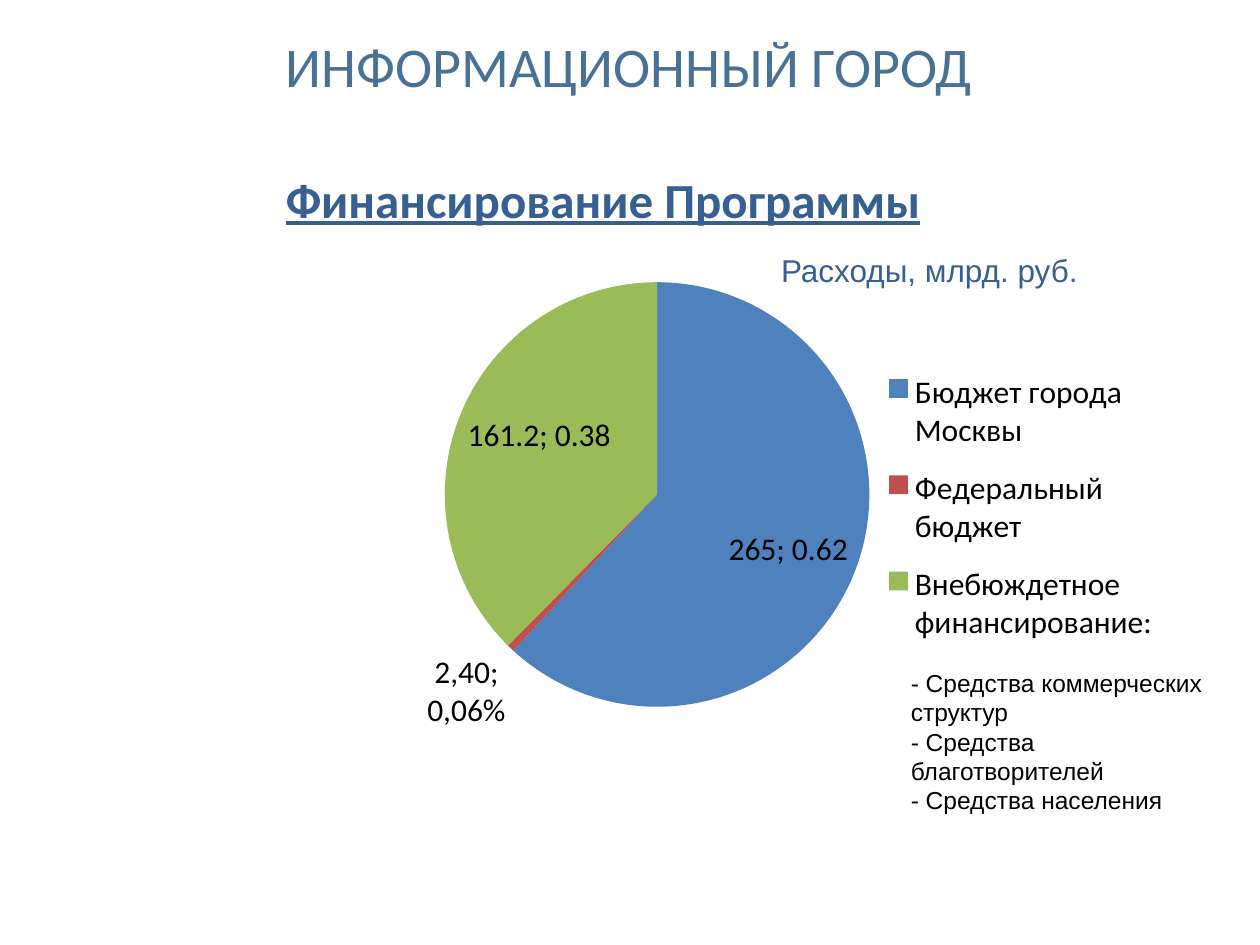
from lxml import etree
from pptx import Presentation
from pptx.chart.data import CategoryChartData
from pptx.dml.color import RGBColor
from pptx.enum.chart import XL_CHART_TYPE, XL_LABEL_POSITION, XL_LEGEND_POSITION
from pptx.enum.text import MSO_ANCHOR, MSO_AUTO_SIZE
from pptx.oxml.ns import qn
from pptx.util import Inches, Pt

PIE = XL_CHART_TYPE.PIE
RIGHT = XL_LEGEND_POSITION.RIGHT
INSIDE, OUTSIDE = XL_LABEL_POSITION.INSIDE_END, XL_LABEL_POSITION.OUTSIDE_END
TOP, MIDDLE = MSO_ANCHOR.TOP, MSO_ANCHOR.MIDDLE
GROW, FIXED = MSO_AUTO_SIZE.SHAPE_TO_FIT_TEXT, MSO_AUTO_SIZE.NONE

# Content
COLORS = {"title": "487196", "navy": "376092", "black": "000000",
          "city": "4F81BD", "federal": "C0504D", "other": "9BBB59"}
BUDGET = [("Бюджет города Москвы", 265, "city"),
          ("Федеральный бюджет", 2.4, "federal"),
          ("Внебюждетное финансирование:", 161.2, "other")]
SMALL = (1, "2,40; 0,06%")
CHART = (2.64, 1.62, 6.84, 4.95)
PLOT = (3.53, 2.24, 3.37, 3.37)
LEGEND = (6.9, 2.8, 2.4, 2.45)

# Box, lines, font, frame
TEXTS = [
    ((2.17, 1.15, 6.84, 0.85), ["Финансирование Программы"],
     {"name": "Calibri", "size": Pt(28), "bold": True, "underline": True}, "navy",
     {"vertical_anchor": MIDDLE, "word_wrap": True, "auto_size": FIXED}),
    ((6.1, 1.94, 2.58, 0.4), ["Расходы, млрд. руб."],
     {"name": "Arial", "size": Pt(18)}, "navy",
     {"vertical_anchor": TOP, "word_wrap": False, "auto_size": GROW}),
    ((2.17, 0.21, 6.84, 0.61), ["ИНФОРМАЦИОННЫЙ ГОРОД"],
     {"name": "Calibri", "size": Pt(32)}, "title",
     {"vertical_anchor": MIDDLE, "word_wrap": True, "auto_size": FIXED}),
    ((7.13, 5.25, 2.52, 1.28),
     ["- Средства коммерческих структур", "- Средства благотворителей",
      "- Средства населения"],
     {"name": "Arial", "size": Pt(14)}, "black",
     {"vertical_anchor": TOP, "word_wrap": True, "auto_size": GROW}),
]
CHART_FONT = {"name": "Calibri", "size": Pt(18), "bold": False}


def rgb(key):
    return RGBColor.from_string(COLORS[key])


def assign(item, values):
    for name, value in values.items():
        setattr(item, name, value)


def style(font, values, color):
    assign(font, values)
    font.color.rgb = rgb(color)


def layout(box, inner=False):
    """Manual chart layout from a box in slide inches."""
    left, top, width, height = CHART
    node = etree.Element(qn("c:layout"))
    manual = etree.SubElement(node, qn("c:manualLayout"))
    parts = [("xMode", "edge"), ("yMode", "edge"),
             ("x", (box[0] - left) / width), ("y", (box[1] - top) / height),
             ("w", box[2] / width), ("h", box[3] / height)]
    if inner:
        parts.insert(0, ("layoutTarget", "inner"))
    for tag, value in parts:
        etree.SubElement(manual, qn("c:" + tag)).set("val", str(value))
    return node


def add_text(slide, box, lines, font, color, frame):
    text = slide.shapes.add_textbox(*map(Inches, box)).text_frame
    assign(text, frame)
    for i, line in enumerate(lines):
        para = text.add_paragraph() if i else text.paragraphs[0]
        run = para.add_run()
        run.text = line
        style(run.font, font, color)


def add_pie(slide):
    data = CategoryChartData()
    data.categories = [name for name, _, _ in BUDGET]
    data.add_series("Series 1", [value for _, value, _ in BUDGET])
    chart = slide.shapes.add_chart(PIE, *map(Inches, CHART), data).chart
    chart.has_title = False
    style(chart.font, CHART_FONT, "black")
    plot = chart.plots[0]
    plot.vary_by_categories = True
    series = plot.series[0]
    for i, (_, _, color) in enumerate(BUDGET):
        fill = series.points[i].format.fill
        fill.solid()
        fill.fore_color.rgb = rgb(color)

    # Labels
    labels = series.data_labels
    assign(labels, {"show_value": True, "show_percentage": True,
                    "number_format": "#,##0.00", "number_format_is_linked": False,
                    "position": INSIDE})
    style(labels.font, CHART_FONT, "black")
    gap = etree.Element(qn("c:separator"))
    gap.text = "; "
    labels._element.find(qn("c:showBubbleSize")).addnext(gap)
    index, words = SMALL
    label = series.points[index].data_label
    run = label.text_frame.paragraphs[0].add_run()
    run.text = words
    style(run.font, CHART_FONT, "black")
    label.position = OUTSIDE

    # Legend and plot placement
    chart.has_legend = True
    legend = chart.legend
    assign(legend, {"position": RIGHT, "include_in_layout": False})
    style(legend.font, CHART_FONT, "black")
    for node in legend._element.findall(qn("c:layout")):
        legend._element.remove(node)
    legend._element.find(qn("c:legendPos")).addnext(layout(LEGEND))
    area = chart._chartSpace.find(".//" + qn("c:plotArea"))
    for node in area.findall(qn("c:layout")):
        area.remove(node)
    area.insert(0, layout(PLOT, inner=True))


def main():
    deck = Presentation()
    deck.slide_width, deck.slide_height = Inches(10), Inches(7.5)
    slide = deck.slides.add_slide(deck.slide_layouts[6])
    add_pie(slide)
    for item in TEXTS:
        add_text(slide, *item)
    deck.save("out.pptx")


if __name__ == "__main__":
    main()
